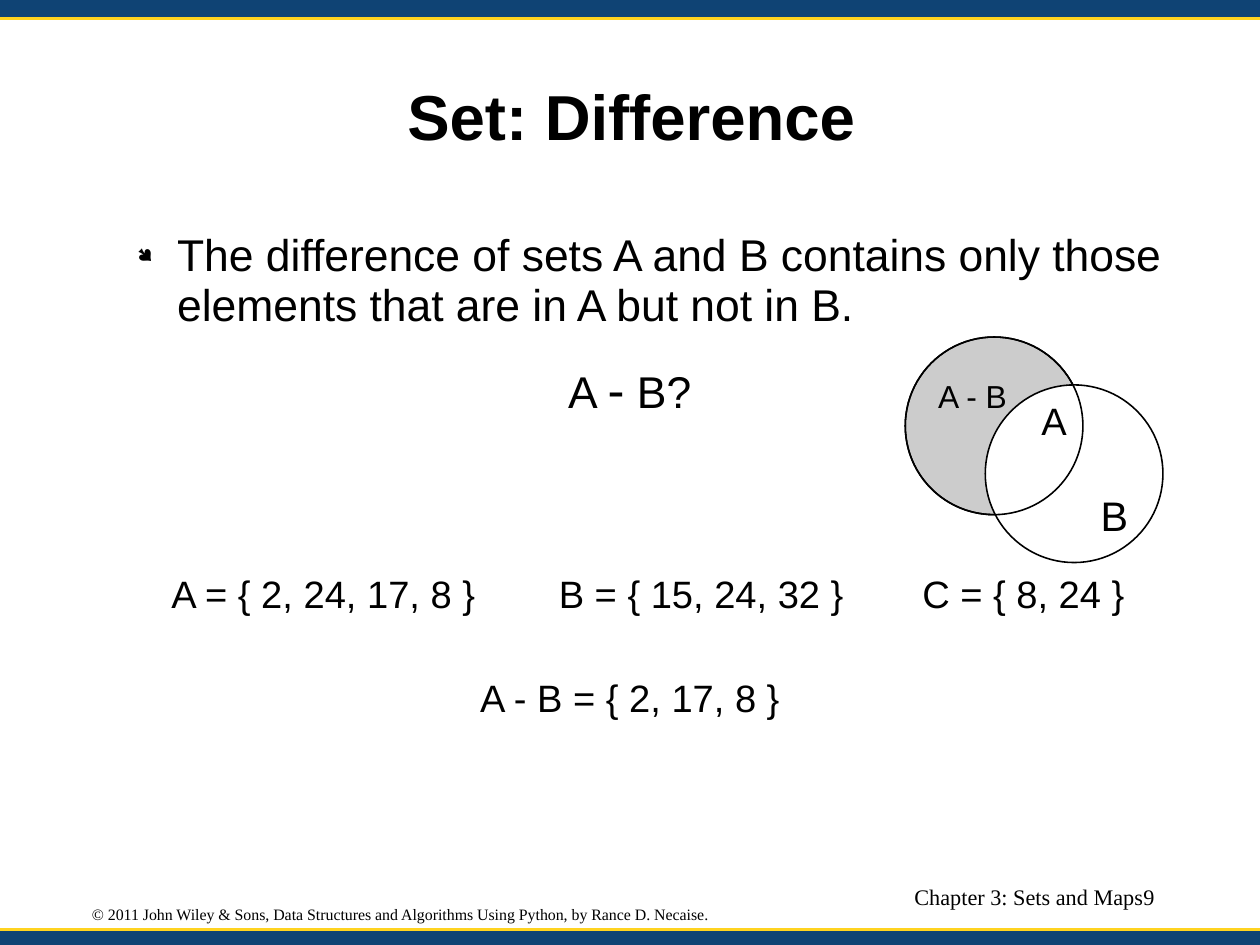
from lxml import etree
from pptx import Presentation
from pptx.dml.color import RGBColor
from pptx.enum.shapes import MSO_CONNECTOR, MSO_SHAPE
from pptx.enum.text import MSO_ANCHOR, PP_ALIGN
from pptx.oxml.ns import qn
from pptx.util import Cm, Inches, Pt

RECT, OVAL = MSO_SHAPE.RECTANGLE, MSO_SHAPE.OVAL
LINE = MSO_CONNECTOR.STRAIGHT
TOP, MID = MSO_ANCHOR.TOP, MSO_ANCHOR.MIDDLE
LEFT, MIDST, RIGHT = PP_ALIGN.LEFT, PP_ALIGN.CENTER, PP_ALIGN.RIGHT
WIDE, HIGH = Cm(28), Cm(21)
COLS, ROWS = 100, 75
SANS, SERIF = "Arial", "Times New Roman"
BLACK, WHITE, GREY, BLUE, GOLD = "000000", "FFFFFF", "CCCCCC", "0F4374", "FFD320"


def color(code):
    return RGBColor.from_string(code)


def place(x, y, w, h):
    return (round(x * WIDE / COLS), round(y * HIGH / ROWS),
            round(w * WIDE / COLS), round(h * HIGH / ROWS))


def style(run, size, face, bold=False):
    run.font.size = Pt(size)
    run.font.name = face
    run.font.bold = bold
    run.font.color.rgb = color(BLACK)


def fill_text(shape, text, size, face=SANS, align=LEFT, anchor=MID,
              wrap=False, bold=False, inset=0.03):
    frame = shape.text_frame
    frame.text = text
    frame.word_wrap = wrap
    frame.vertical_anchor = anchor
    frame.margin_left = frame.margin_right = frame.margin_bottom = 0
    frame.margin_top = Inches(inset)
    par = frame.paragraphs[0]
    par.alignment = align
    par.line_spacing = 0.93
    for run in par.runs:
        style(run, size, face, bold)
    return par


def write(slide, box, text, size, **look):
    return fill_text(slide.shapes.add_textbox(*place(*box)), text, size, **look)


def draw(slide, kind, box, fill=None, edge=None):
    shape = slide.shapes.add_shape(kind, *place(*box))
    shape.shadow.inherit = False
    if fill:
        shape.fill.solid()
        shape.fill.fore_color.rgb = color(fill)
    else:
        shape.fill.background()
    if edge:
        shape.line.color.rgb = color(edge)
        shape.line.width = Pt(1)
    else:
        shape.line.fill.background()


def band(slide, box, edge):
    draw(slide, RECT, box, BLUE)
    x, y, w, _ = place(box[0], edge, box[2], 0)
    rule = slide.shapes.add_connector(LINE, x, y, x + w, y)
    rule.line.color.rgb = color(GOLD)
    rule.line.width = Pt(2)
    etree.SubElement(rule._element.spPr, qn("a:effectLst"))


def head(slide, box):
    title = slide.shapes.title
    title.left, title.top, title.width, title.height = place(*box)
    fill_text(title, "Set: Difference", 40, align=MIDST, wrap=True, bold=True, inset=0.04)


def body(slide, box):
    text = ("The difference of sets A and B contains only those "
            "elements that are in A but not in B.")
    par = write(slide, box, text, 28, anchor=TOP, wrap=True)
    props = par._p.get_or_add_pPr()
    props.set("marL", str(Inches(0.47)))
    props.set("indent", str(Inches(-0.35)))
    tint = etree.SubElement(props, qn("a:buClr"))
    etree.SubElement(tint, qn("a:srgbClr"), val=BLACK)
    etree.SubElement(props, qn("a:buSzPct"), val="45000")
    etree.SubElement(props, qn("a:buFont"), typeface="Wingdings", charset="2")
    etree.SubElement(props, qn("a:buChar"), char="●")


def query(slide, box):
    par = write(slide, box, "A ", 28)
    for text, size in (("-", 32), (" B?", 28)):
        run = par.add_run()
        run.text = text
        style(run, size, SANS)


def sets(slide, box):
    x, y, _, h = box
    for dx, w, text in ((0, 24.2, "A = { 2, 24, 17, 8 }"),
                        (30.75, 22.8, "B = { 15, 24, 32 }"),
                        (59.6, 16.2, "C = { 8, 24 }")):
        write(slide, (x + dx, y, w, h), text, 24)
    write(slide, (x + 24.5, y + 8.25, 23.9, h), "A - B = { 2, 17, 8 }", 24)


def venn(slide, box):
    x, y, w, h = box
    size = 14.1
    disc = (x, y, size, size)
    draw(slide, OVAL, disc, GREY, BLACK)
    draw(slide, OVAL, (x + w - size, y + h - size, size, size), WHITE, BLACK)
    for text, points, lx, ly, lw, lh in (("A", 24, 10.8, 4.9, 2.2, 3.6),
                                         ("B", 26, 15.5, 12.4, 2.2, 3.6),
                                         ("A - B", 20, 2.6, 2.65, 6, 4.1)):
        write(slide, (x + lx, y + ly, lw, lh), text, points)
    draw(slide, OVAL, disc, edge=BLACK)


def foot(slide, box):
    x, y, w, h = box
    note = ("© 2011 John Wiley & Sons, Data Structures and Algorithms "
            "Using Python, by Rance D. Necaise.")
    write(slide, (x, y + 1.6, 49.6, 1.36), note, 10, face=SERIF, inset=0.01)
    page = x + w - 4.2
    for left, wide, text, align in ((page - 31.7, 31.7, "Chapter 3: Sets and Maps", RIGHT),
                                    (page, 4.2, "9", LEFT)):
        write(slide, (left, y, wide, h), text, 14, face=SERIF,
              align=align, anchor=TOP, wrap=True, inset=0)


def main():
    deck = Presentation()
    deck.slide_width, deck.slide_height = WIDE, HIGH
    slide = deck.slides.add_slide(deck.slide_layouts[5])
    band(slide, (0, 0, COLS, 1.45), 1.45)
    band(slide, (0, 73.75, COLS, 1.25), 73.75)
    head(slide, (5, 3, 90.2, 12.5))
    body(slide, (9.8, 18.15, 83.75, 49.5))
    query(slide, (45.1, 28.65, 10.5, 4.5))
    sets(slide, (13.6, 45.5, 75.8, 3.35))
    venn(slide, (71.85, 26.75, 20.45, 17.9))
    foot(slide, (7.3, 70.3, 87.65, 3.2))
    deck.save("out.pptx")


if __name__ == "__main__":
    main()
